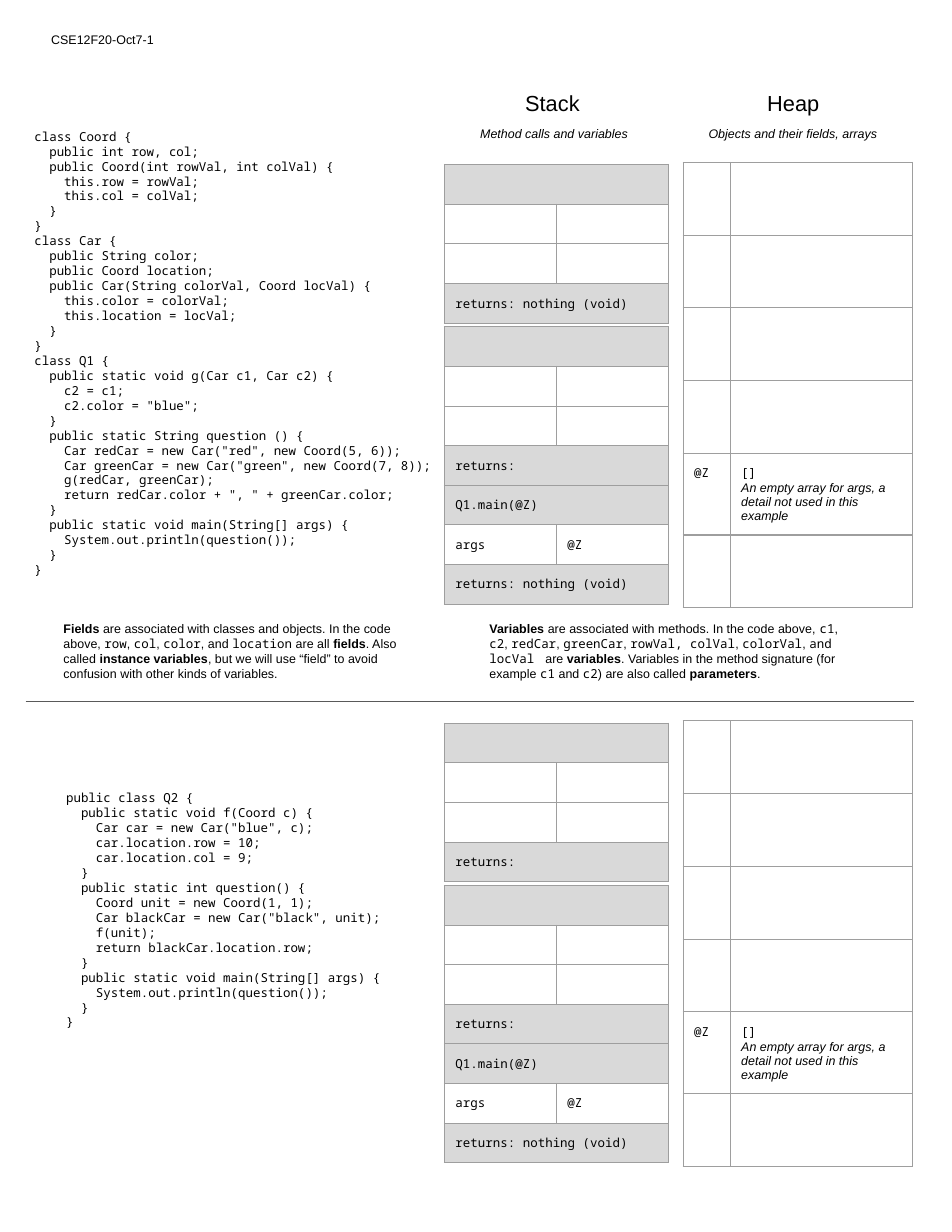
from lxml import etree
from pptx import Presentation
from pptx import util as u
from pptx.dml.color import RGBColor
from pptx.enum import shapes, text
from pptx.oxml.ns import qn

SANS, MONO = "Arial", "Noto Sans Mono"
BLACK, GRAY, BORDER, RULE = "000000", "D9D9D9", "9E9E9E", "595959"
SMALL, LEADING, INSET = 8, 9.6, 0.25

Q1_CODE = """class Coord {
  public int row, col;
  public Coord(int rowVal, int colVal) {
    this.row = rowVal;
    this.col = colVal;
  }
}
class Car {
  public String color;
  public Coord location;
  public Car(String colorVal, Coord locVal) {
    this.color = colorVal;
    this.location = locVal;
  }
}
class Q1 {
  public static void g(Car c1, Car c2) {
    c2 = c1;
    c2.color = "blue";
  }
  public static String question () {
    Car redCar = new Car("red", new Coord(5, 6));
    Car greenCar = new Car("green", new Coord(7, 8));
    g(redCar, greenCar);
    return redCar.color + ", " + greenCar.color;
  }
  public static void main(String[] args) {
    System.out.println(question());
  }
}"""

Q2_CODE = """  public class Q2 {
    public static void f(Coord c) {
      Car car = new Car("blue", c);
      car.location.row = 10;
      car.location.col = 9;
    }
    public static int question() {
      Coord unit = new Coord(1, 1);
      Car blackCar = new Car("black", unit);
      f(unit);
      return blackCar.location.row;
    }
    public static void main(String[] args) {
      System.out.println(question());
    }
  }"""

# text, left, top, width, height, size, italic
LABELS = [
    ("CSE12F20-Oct7-1", 0.91, 0.56, 3.81, 0.84, SMALL, False),
    ("Stack", 11.66, 1.78, 1.91, 1.09, 14, False),
    ("Heap", 17.15, 1.78, 1.91, 1.09, 14, False),
    ("Method calls and variables", 10.64, 2.69, 3.96, 0.76, SMALL, True),
    ("Objects and their fields, arrays", 15.82, 2.69, 5.33, 0.76, SMALL, True),
]
# code, left, top
LISTINGS = [(Q1_CODE, 0.53, 2.44), (Q2_CODE, 0.91, 15.07)]

# Spans are divided by "|"; a leading "*" means bold and "`" means code
NOTES = [
    (1.19, 8.69, "*Fields| are associated with classes and objects. In the code above, "
     "|`row|, |`col|, |`color|, and |`location| are all |*fields|. Also called "
     "|*instance variables|, but we will use “field” to avoid confusion with "
     "other kinds of variables."),
    (10.85, 8.53, "*Variables| are associated with methods. In the code above, "
     "|`c1|, |`c2|, |`redCar|, |`greenCar|, |`rowVal, colVal|, |`colorVal|, "
     "|`and locVal | are |*variables|. Variables in the method signature "
     "(for example |`c1| and |`c2|) are also called |*parameters|."),
]

# A one-item row is a merged, shaded row
VOID = "returns: nothing (void)"
MAIN_FRAME = [["Q1.main(@Z)"], ["args", "@Z"], [VOID]]
HEAP_NOTE = "[]\nAn empty array for args, a detail not used in this example"
HEAP = [["", ""]] * 4 + [["@Z", HEAP_NOTE], ["", ""]]
HALVES = [(0, VOID), (12.67, "returns:")]  # vertical offset, end of the top frame
FRAME_TOPS = (3.73, 7.41, 11.0)
STACK_LEFT, STACK_COLUMNS, STACK_ROW = 10.08, (2.54, 2.54), 0.9
HEAP_LEFT, HEAP_TOP, HEAP_COLUMNS = 15.49, 3.68, (1.07, 4.14)
HEAP_ROWS = (1.65, 1.65, 1.65, 1.65, 1.84, 1.65)


def color(value):
    return RGBColor.from_string(value)


def style(span, font=SANS, size=SMALL, bold=False, italic=False):
    span.font.name, span.font.size = font, u.Pt(size)
    span.font.bold, span.font.italic = bold, italic
    span.font.color.rgb = color(BLACK)


def add_box(left, top, width, height):
    box = page.shapes.add_textbox(u.Cm(left), u.Cm(top), u.Cm(width), u.Cm(height))
    frame = box.text_frame
    frame.word_wrap = True
    frame.margin_left = frame.margin_right = u.Cm(INSET)
    frame.margin_top = frame.margin_bottom = u.Cm(INSET)
    return frame


def outline(cell):
    properties = cell._tc.get_or_add_tcPr()
    for side in ("a:lnL", "a:lnR", "a:lnT", "a:lnB"):
        line = etree.SubElement(properties, qn(side), w=str(u.Pt(0.75)))
        fill = etree.SubElement(line, qn("a:solidFill"))
        etree.SubElement(fill, qn("a:srgbClr"), val=BORDER)


def fill_cell(cell, words, shaded):
    outline(cell)
    cell.margin_left = cell.margin_right = u.Cm(INSET)
    cell.margin_top = cell.margin_bottom = u.Cm(INSET)
    if shaded:
        cell.fill.solid()
        cell.fill.fore_color.rgb = color(GRAY)
    else:
        cell.fill.background()
    cell.text_frame.text = words
    for index, para in enumerate(cell.text_frame.paragraphs):
        # Keeps empty cells from stretching their row
        para._p.get_or_add_endParaRPr().set("sz", str(SMALL * 100))
        for span in para.runs:
            style(span, SANS if index else MONO, italic=index > 0)


def add_grid(rows, left, top, widths, heights):
    table = page.shapes.add_table(
        len(rows), len(widths), u.Cm(left), u.Cm(top),
        u.Cm(sum(widths)), u.Cm(sum(heights))).table
    table.first_row = table.horz_banding = False
    for column, width in zip(table.columns, widths):
        column.width = u.Cm(width)
    for r, (row, height) in enumerate(zip(rows, heights)):
        table.rows[r].height = u.Cm(height)
        merged = len(row) == 1
        if merged:
            table.cell(r, 0).merge(table.cell(r, len(widths) - 1))
        for c in range(len(widths)):
            fill_cell(table.cell(r, c), row[c] if c < len(row) else "", merged)


deck = Presentation()
deck.slide_width, deck.slide_height = u.Cm(21.59), u.Cm(27.94)
page = deck.slides.add_slide(deck.slide_layouts[6])

# Headings
for words, left, top, width, height, size, italic in LABELS:
    frame = add_box(left, top, width, height)
    frame.text = words
    style(frame.paragraphs[0].runs[0], size=size, italic=italic)

# Code listings
for code, left, top in LISTINGS:
    frame = add_box(left, top, 9.75, 11.13)
    frame.vertical_anchor = text.MSO_ANCHOR.MIDDLE
    frame.text = code
    for para in frame.paragraphs:
        para.line_spacing = u.Pt(LEADING)
        style(para.runs[0], MONO)

# Notes on fields and variables
for left, width, words in NOTES:
    para = add_box(left, 13.84, width, 2.18).paragraphs[0]
    para.line_spacing = u.Pt(LEADING)
    for piece in words.split("|"):
        span = para.add_run()
        span.text = piece.lstrip("*`")
        style(span, MONO if piece[0] == "`" else SANS, bold=piece[0] == "*")

# Stack and heap tables of both questions
for offset, ending in HALVES:
    frames = [[[""], ["", ""], ["", ""], [last]] for last in (ending, "returns:")]
    for rows, top in zip(frames + [MAIN_FRAME], FRAME_TOPS):
        add_grid(rows, STACK_LEFT, top + offset, STACK_COLUMNS, [STACK_ROW] * len(rows))
    add_grid(HEAP, HEAP_LEFT, HEAP_TOP + offset, HEAP_COLUMNS, HEAP_ROWS)

# Line between the questions
divider = page.shapes.add_connector(
    shapes.MSO_CONNECTOR.STRAIGHT, u.Cm(0.58), u.Cm(15.9), u.Cm(20.73), u.Cm(15.9))
divider.line.color.rgb = color(RULE)
divider.line.width = u.Pt(0.75)
etree.SubElement(divider._element.spPr, qn("a:effectLst"))

deck.save("out.pptx")
